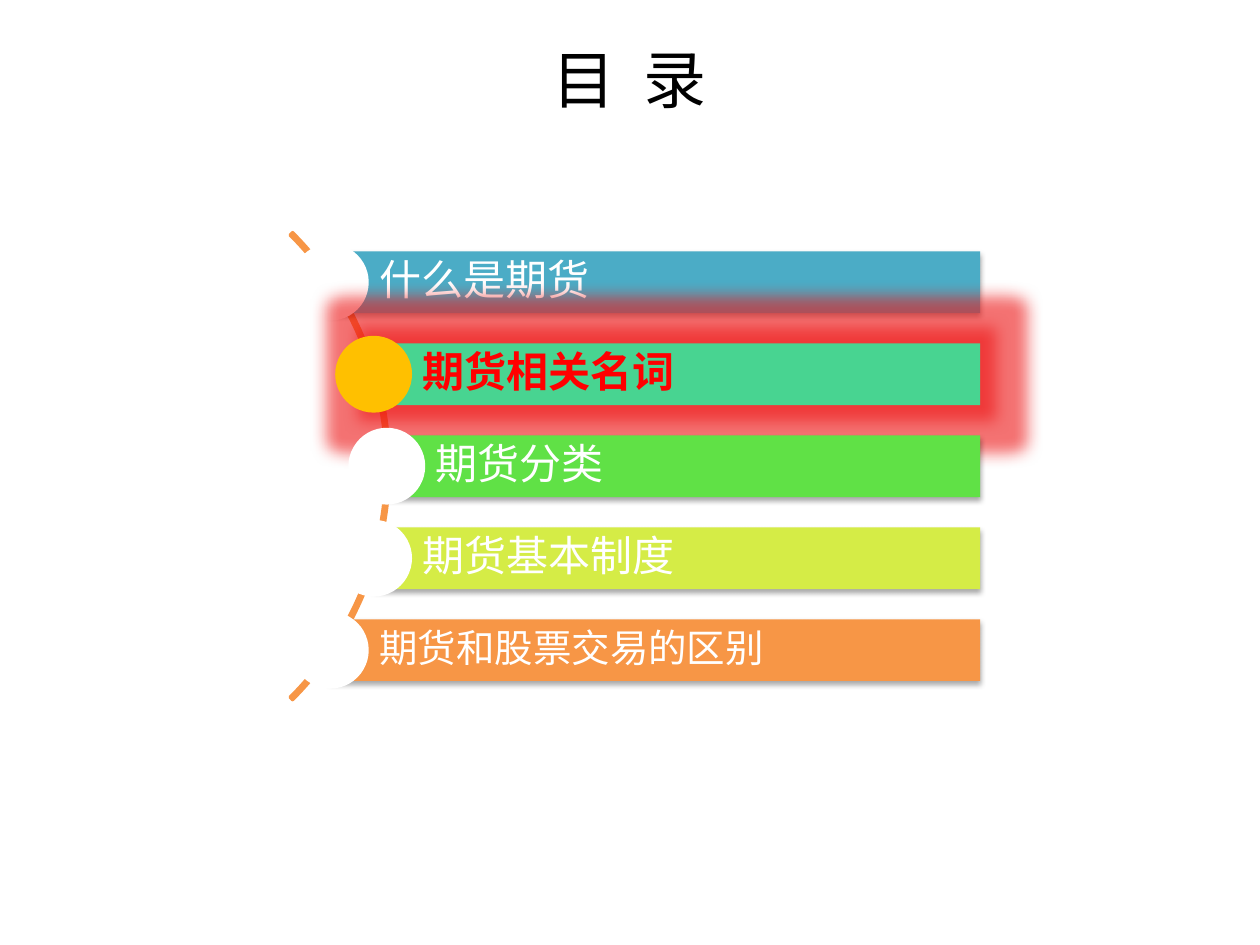
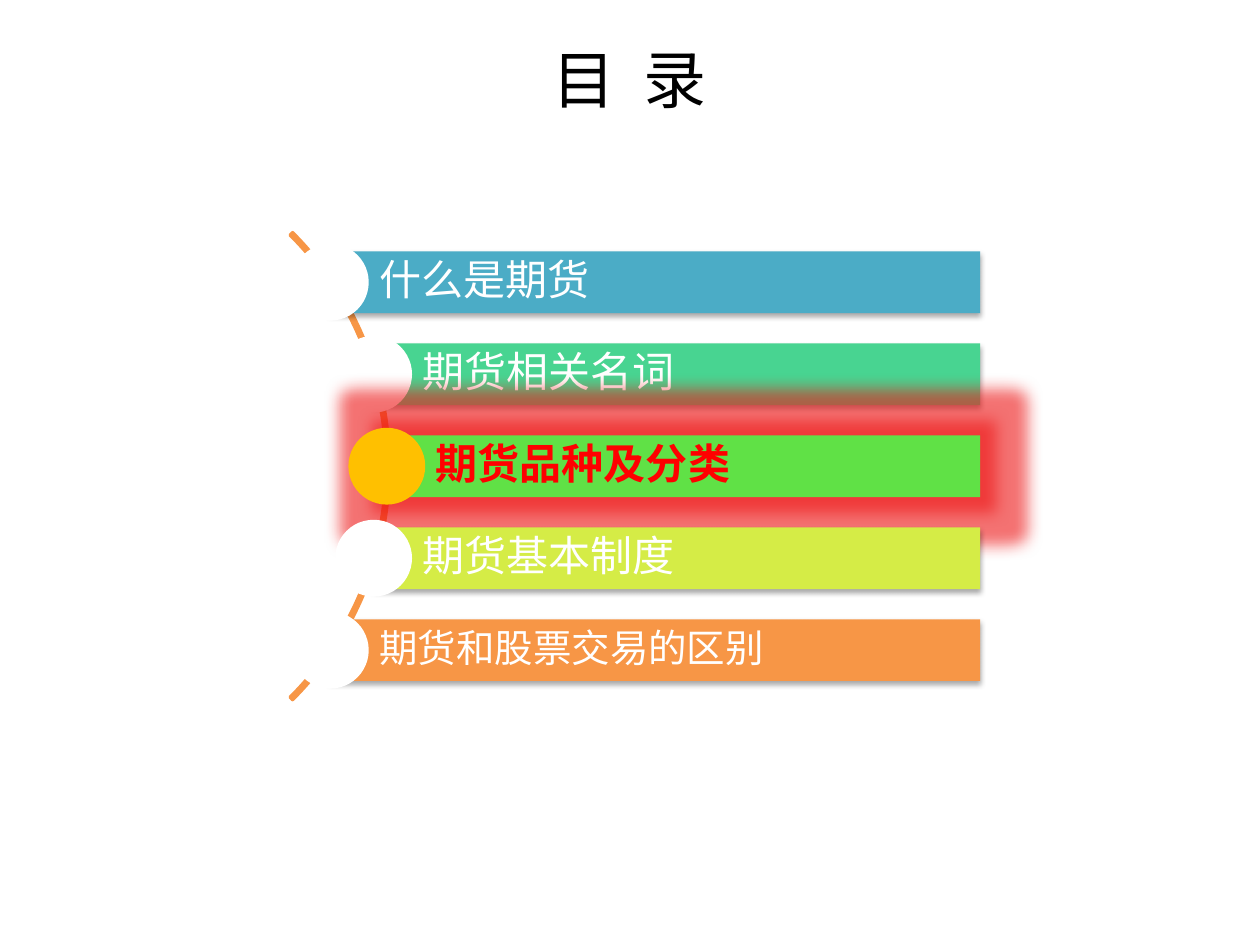
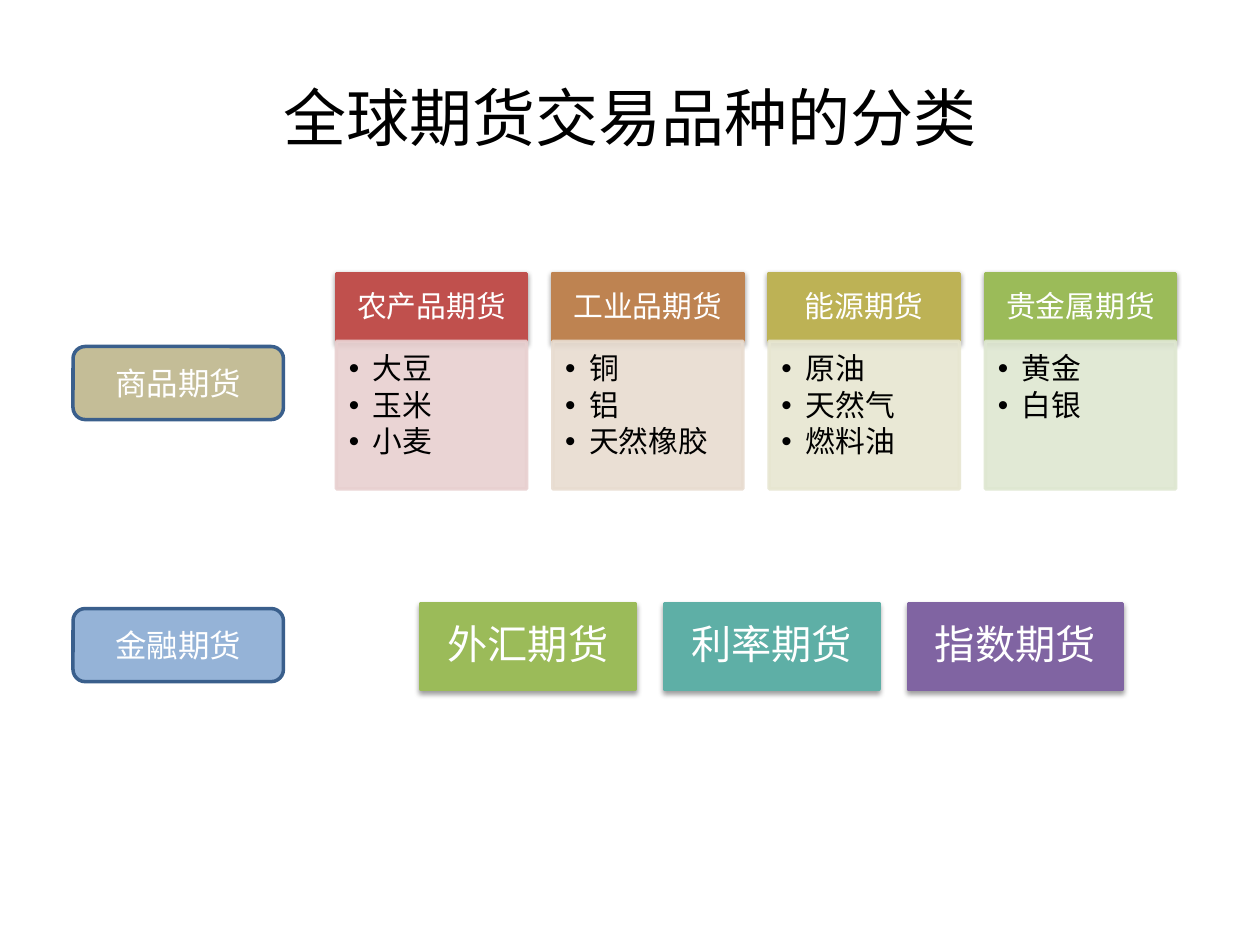
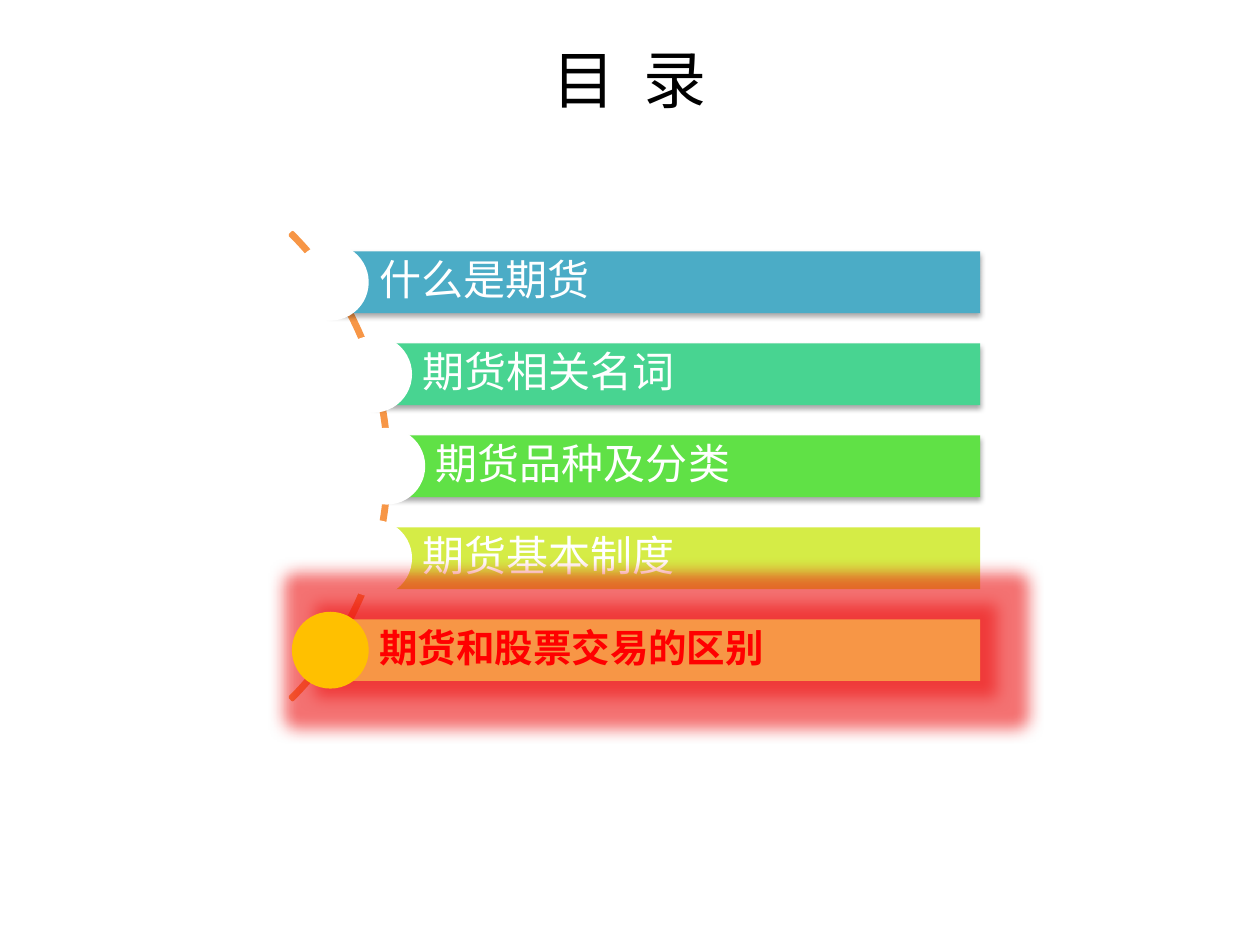
import math
from dataclasses import dataclass
from typing import NamedTuple

import lxml.etree
import pptx
import pptx.dml.color
import pptx.enum.shapes
import pptx.enum.text
import pptx.oxml.ns
import pptx.presentation
import pptx.shapes.autoshape
import pptx.slide
import pptx.text.text
import pptx.util

SHAPE = pptx.enum.shapes.MSO_SHAPE
ALIGN = pptx.enum.text.PP_ALIGN
ANCHOR = pptx.enum.text.MSO_ANCHOR

# The slide is a grid of 100 columns by 75 rows; one cell is a tenth of an inch.
COLUMNS, ROWS = 100, 75
CELL = pptx.util.Inches(0.1)


@dataclass(frozen=True)
class Theme:
    title_font: str = "Noto Sans CJK SC"
    heading_font: str = "Arial"
    body_font: str = "Calibri"
    title_size: float = 36
    agenda_size: float = 24
    long_agenda_size: float = 22
    market_size: float = 23
    label_size: float = 18
    card_size: float = 17
    black: str = "000000"
    white: str = "FFFFFF"
    arc: str = "F79646"
    active_text: str = "FF0000"
    active_dot: str = "FFC000"
    glow: str = "ED1515"
    label_line: str = "3A5F8C"
    line_width: float = 2


THEME = Theme()


class Frame(NamedTuple):
    """A place on the grid, in columns and rows."""
    left: float
    top: float
    width: float
    height: float


class Insets(NamedTuple):
    """Text margins in cells."""
    left: float = 1
    top: float = 0.5
    right: float = 1
    bottom: float = 0.5


class Shadow(NamedTuple):
    """Soft shadow straight below; opacity in percent, lengths in points."""
    opacity: float
    blur: float
    distance: float


class TextStyle(NamedTuple):
    size: float
    font: str = THEME.body_font
    color: str = THEME.white
    bold: bool = False
    align: ALIGN = ALIGN.CENTER
    anchor: ANCHOR = ANCHOR.MIDDLE
    line_spacing: float = 0.9


class AgendaItem(NamedTuple):
    text: str
    color: str
    size: float = THEME.agenda_size


class Card(NamedTuple):
    heading: str
    color: str
    tint: str
    goods: tuple[str, ...]


class Box(NamedTuple):
    text: str
    color: str


BAR_SHADOW = Shadow(35, 3.1, 1.8)
CARD_SHADOW = Shadow(38, 3.1, 1.6)

# Agenda geometry: the dots sit on an arc around one centre
ARC_X, ARC_Y, ARC_RADIUS = 4.7, 37, 26.2
DOT_RADIUS = 26
DOT_SIZE = 6.1
BAR_RIGHT, BAR_HEIGHT, BAR_PITCH = 77.8, 4.9, 7.3
GLOW_RADIUS, GLOW_OPACITY = 18, 60

AGENDA = (
    AgendaItem("什么是期货", "4BACC6"),
    AgendaItem("期货相关名词", "48D491"),
    AgendaItem("期货品种及分类", "60E146"),
    AgendaItem("期货基本制度", "D5EC46"),
    AgendaItem("期货和股票交易的区别", "F79646", THEME.long_agenda_size),
)
SHORT_AGENDA = (*AGENDA[:2], AGENDA[2]._replace(text="期货分类"), *AGENDA[3:])

CARDS = (
    Card("农产品期货", "C0504D", "E8D0D0", ("大豆", "玉米", "小麦")),
    Card("工业品期货", "BE8351", "E8DCD0", ("铜", "铝", "天然橡胶")),
    Card("能源期货", "BDB255", "E7E6D1", ("原油", "天然气", "燃料油")),
    Card("贵金属期货", "9BBB59", "DEE7D1", ("黄金", "白银")),
)
LABELS = (Box("商品期货", "C4BD97"), Box("金融期货", "95B3D7"))
MARKETS = (Box("外汇期货", "9BBB59"), Box("利率期货", "5EAFA6"), Box("指数期货", "8064A2"))


# Shared drawing helpers
def cells(count: float) -> int:
    return round(count * CELL)


def rgb(code: str) -> pptx.dml.color.RGBColor:
    return pptx.dml.color.RGBColor.from_string(code)


def add_child(parent, tag: str, **attributes):
    return lxml.etree.SubElement(
        parent, pptx.oxml.ns.qn(tag), {name: str(value) for name, value in attributes.items()})


def add_effect(shape: pptx.shapes.autoshape.Shape, tag: str, color: str,
               opacity: float, **attributes) -> None:
    effects = shape.element.spPr.find(pptx.oxml.ns.qn("a:effectLst"))
    effect = add_child(effects, tag, **attributes)
    add_child(add_child(effect, "a:srgbClr", val=color), "a:alpha", val=round(opacity * 1000))


def add_shadow(shape: pptx.shapes.autoshape.Shape, shadow: Shadow) -> None:
    add_effect(shape, "a:outerShdw", THEME.black, shadow.opacity,
               blurRad=pptx.util.Pt(shadow.blur), dist=pptx.util.Pt(shadow.distance),
               dir=5400000, rotWithShape=0)


def draw_shape(page: pptx.slide.Slide, kind: SHAPE, frame: Frame, fill: str | None,
               line: str | None = None,
               shadow: Shadow | None = None) -> pptx.shapes.autoshape.Shape:
    shape = page.shapes.add_shape(kind, *map(cells, frame))
    shape.shadow.inherit = False
    if fill:
        shape.fill.solid()
        shape.fill.fore_color.rgb = rgb(fill)
    else:
        shape.fill.background()
    if line:
        shape.line.color.rgb = rgb(line)
        shape.line.width = pptx.util.Pt(THEME.line_width)
    else:
        shape.line.fill.background()
    if shadow:
        add_shadow(shape, shadow)
    return shape


def style_paragraph(para: pptx.text.text._Paragraph, style: TextStyle) -> None:
    para.alignment = style.align
    para.line_spacing = style.line_spacing
    para.font.name = style.font
    para.font.size = pptx.util.Pt(style.size)
    para.font.bold = style.bold
    para.font.color.rgb = rgb(style.color)


def write(shape, lines: tuple[str, ...], style: TextStyle,
          insets: Insets = Insets()) -> pptx.text.text.TextFrame:
    frame = shape.text_frame
    frame.word_wrap = True
    frame.vertical_anchor = style.anchor
    frame.margin_left, frame.margin_top, frame.margin_right, frame.margin_bottom = map(cells, insets)
    for index, line in enumerate(lines):
        para = frame.add_paragraph() if index else frame.paragraphs[0]
        para.text = line
        style_paragraph(para, style)
    return frame


def add_bullets(frame: pptx.text.text.TextFrame) -> None:
    for para in frame.paragraphs:
        para.level = 1
        para.space_after = pptx.util.Pt(2.5)
        properties = para._p.get_or_add_pPr()
        properties.set("marL", str(cells(1.9)))
        properties.set("indent", str(-cells(1.9)))
        add_child(properties, "a:buFont", typeface=THEME.heading_font)
        add_child(properties, "a:buChar", char="•")


def draw_title(page: pptx.slide.Slide, text: str, top: float, font: str) -> None:
    box = page.shapes.add_textbox(*map(cells, Frame(5, top, 90, 12.5)))
    style = TextStyle(THEME.title_size, font, THEME.black, line_spacing=1)
    para = write(box, ("",), style).paragraphs[0]
    for part in filter(None, text.partition(" ")):
        span = para.add_run()
        span.text = part
        if part == " ":  # widen the gap between the two characters
            span._r.get_or_add_rPr().set("spc", "800")


def add_page(deck: pptx.presentation.Presentation) -> pptx.slide.Slide:
    return deck.slides.add_slide(deck.slide_layouts[6])


# Agenda slides
def draw_agenda_item(page: pptx.slide.Slide, item: AgendaItem, offset: int,
                     active: bool, shaded: bool) -> None:
    rise = offset * BAR_PITCH
    dot_x = ARC_X + math.sqrt(DOT_RADIUS ** 2 - rise ** 2)
    middle = ARC_Y + rise
    bar = draw_shape(page, SHAPE.RECTANGLE,
                     Frame(dot_x, middle - BAR_HEIGHT / 2, BAR_RIGHT - dot_x, BAR_HEIGHT),
                     item.color, shadow=BAR_SHADOW if shaded else None)
    if active:
        add_effect(bar, "a:glow", THEME.glow, GLOW_OPACITY, rad=pptx.util.Pt(GLOW_RADIUS))
    write(bar, (item.text,),
          TextStyle(item.size, color=THEME.active_text if active else THEME.white,
                    bold=active, align=ALIGN.LEFT),
          Insets(3.9, 0.7, 0.7, 0.7))
    draw_shape(page, SHAPE.OVAL,
               Frame(dot_x - DOT_SIZE / 2, middle - DOT_SIZE / 2, DOT_SIZE, DOT_SIZE),
               THEME.active_dot if active else THEME.white)


def build_agenda(deck: pptx.presentation.Presentation, items: tuple[AgendaItem, ...],
                 active: int, flat: tuple[int, ...] = ()) -> None:
    page = add_page(deck)
    draw_title(page, "目 录", 0, THEME.title_font)
    arc = draw_shape(page, SHAPE.BLOCK_ARC,
                     Frame(ARC_X - ARC_RADIUS, ARC_Y - ARC_RADIUS, 2 * ARC_RADIUS, 2 * ARC_RADIUS),
                     None, THEME.arc)
    for index, value in enumerate((189, 27, 0.005)):  # from 315 to 45 degrees, thin
        arc.adjustments[index] = value
    for index, item in enumerate(items):
        draw_agenda_item(page, item, index - len(items) // 2, index == active,
                         index != active and index not in flat)


# Classification slide
def draw_card(page: pptx.slide.Slide, card: Card, left: float) -> None:
    style = TextStyle(THEME.card_size)
    head = draw_shape(page, SHAPE.RECTANGLE, Frame(left, 21.7, 15.1, 5.4),
                      card.color, card.color, CARD_SHADOW)
    write(head, (card.heading,), style, Insets(1.3, 0.8, 1.3, 0.8))
    body = draw_shape(page, SHAPE.RECTANGLE, Frame(left, 27.1, 15.1, 11.7), card.tint, card.tint)
    for color in body.element.spPr.iter(pptx.oxml.ns.qn("a:srgbClr")):
        add_child(color, "a:alpha", val=90000)
    goods_style = style._replace(color=THEME.black, align=ALIGN.LEFT, anchor=ANCHOR.TOP)
    add_bullets(write(body, card.goods, goods_style, Insets(1, 1, 1.3, 1.5)))


def build_classification(deck: pptx.presentation.Presentation) -> None:
    page = add_page(deck)
    draw_title(page, "全球期货交易品种的分类", 3, THEME.heading_font)
    for index, card in enumerate(CARDS):
        draw_card(page, card, 26.7 + index * 17.17)
    for index, label in enumerate(LABELS):
        box = draw_shape(page, SHAPE.ROUNDED_RECTANGLE, Frame(5.8, 27.5 + index * 20.8, 16.7, 5.8),
                         label.color, THEME.label_line)
        write(box, (label.text,), TextStyle(THEME.label_size, line_spacing=1))
    for index, market in enumerate(MARKETS):
        box = draw_shape(page, SHAPE.RECTANGLE, Frame(33.4 + index * 19.35, 47.9, 17, 6.8),
                         market.color, market.color, CARD_SHADOW)
        write(box, (market.text,), TextStyle(THEME.market_size), Insets(1.8, 1, 1.8, 1))


def main() -> None:
    deck = pptx.Presentation()
    deck.slide_width, deck.slide_height = cells(COLUMNS), cells(ROWS)
    build_agenda(deck, SHORT_AGENDA, active=1)
    build_agenda(deck, AGENDA, active=2)
    build_classification(deck)
    build_agenda(deck, AGENDA, active=4, flat=(3,))
    deck.save("out.pptx")


if __name__ == "__main__":
    main()
